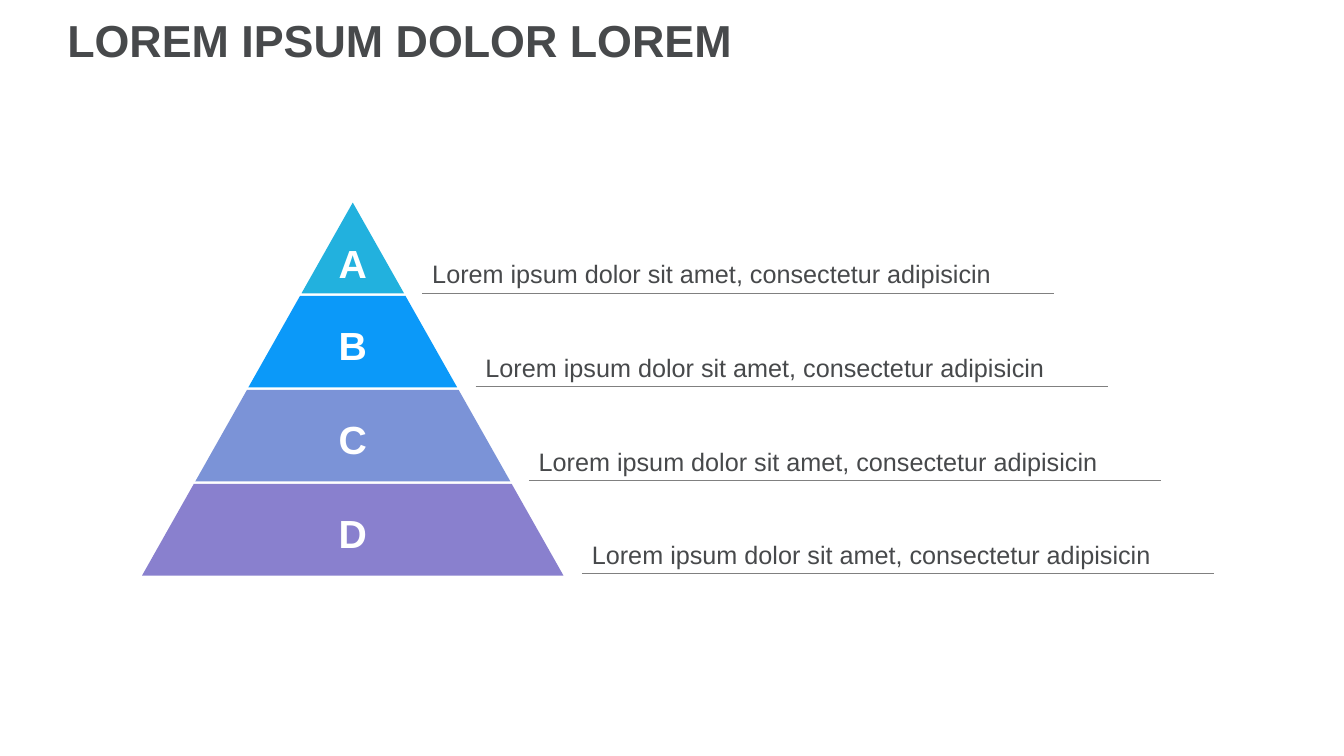
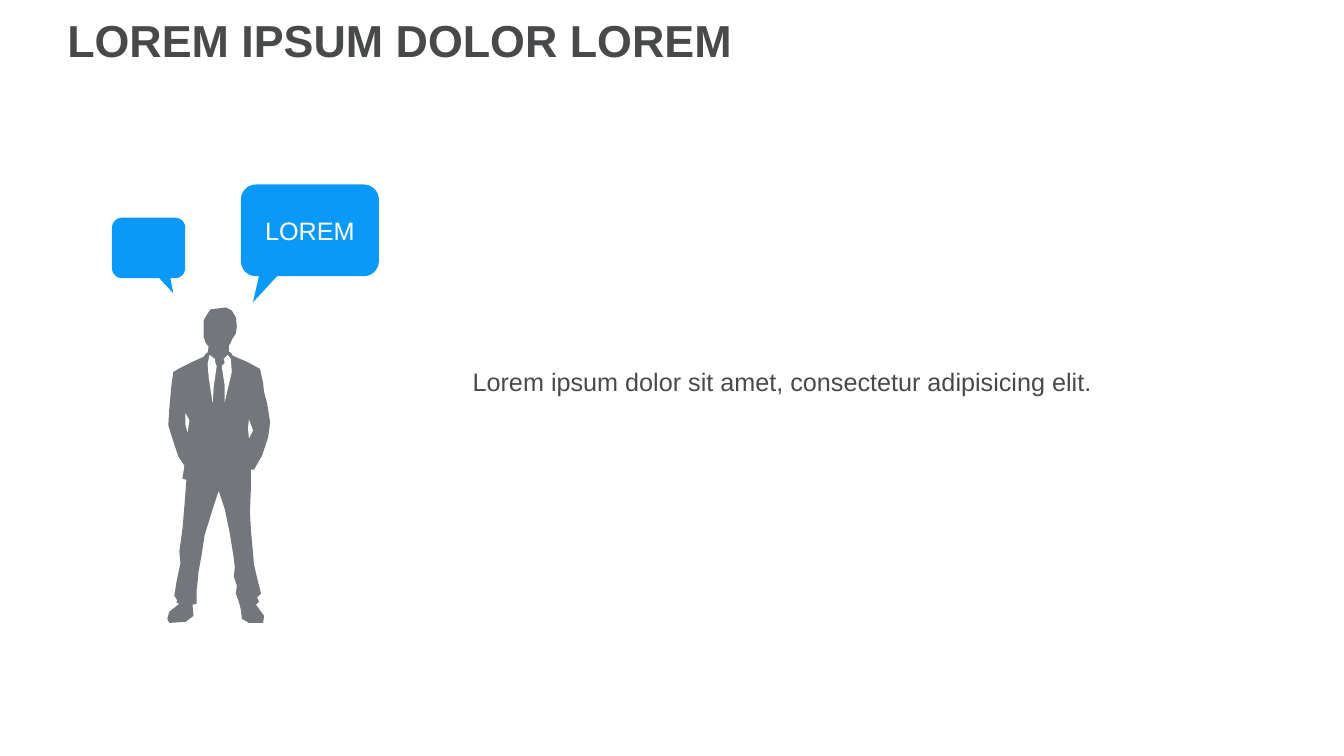
"""Build a two-slide deck: a four-level pyramid and a speaking figure."""
from math import cos, radians, sin

from lxml import etree
from pptx import Presentation
from pptx.dml.color import RGBColor
from pptx.enum import shapes, text
from pptx.oxml.ns import qn
from pptx.util import Pt

FONT = "Arial"
INK, WHITE, BLUE, RULE, GREY = "47494B", "FFFFFF", "0B99F9", "808080", "73767A"
LEFT, CENTER, JUST = text.PP_ALIGN.LEFT, text.PP_ALIGN.CENTER, text.PP_ALIGN.JUSTIFY
MIDDLE, BOTTOM = text.MSO_ANCHOR.MIDDLE, text.MSO_ANCHOR.BOTTOM

TITLE = "LOREM IPSUM DOLOR LOREM"
LINE = "Lorem ipsum dolor sit amet, consectetur adipisicin"
QUOTE = "Lorem ipsum dolor sit amet, consectetur adipisicing elit."
LEVELS = [
    ("A", "22B1DE", LINE, 21),
    ("B", BLUE, LINE, 4),
    ("C", "7B93D7", LINE, 4),
    ("D", "8980CE", LINE, 4),
]
BUBBLES = [
    ("", (80, 155.5, 52.3, 43.2), 7.2, [(121.7, 198.7), (123.8, 209.5), (113.8, 198.7)]),
    ("LOREM", (172.1, 131.8, 98.6, 65.5), 10.8, [(198, 197.3), (180.7, 216), (185, 197.3)]),
]
UNIT = 0.72
BODY = [
    (207, 344), (206, 350), (204, 351), (202, 354), (191, 359), (179, 365),
    (172, 369), (170, 383), (168, 406), (167, 422), (172, 438), (177, 453),
    (183, 462), (181, 475), (185, 476), (183, 502), (181, 525), (178, 547),
    (179, 559), (175, 578), (173, 591), (176, 596), (175, 598), (178, 599),
    (168, 607), (166, 614), (168, 618), (184, 617), (188, 614), (192, 611),
    (191, 600), (195, 599), (195, 591), (195, 586), (196, 578), (197, 567),
    (200, 551), (203, 531), (212, 502), (217, 487), (223, 505), (228, 529),
    (232, 554), (233, 563), (232, 572), (235, 581), (234, 589), (237, 597),
    (239, 605), (240, 614), (247, 618), (261, 618), (262, 611), (254, 600),
    (257, 597), (255, 593), (259, 589), (255, 573), (252, 560), (249, 526),
    (248, 508), (249, 483), (249, 466), (252, 466), (260, 452), (266, 434),
    (268, 419), (265, 400), (262, 389), (261, 380), (258, 366), (245, 359),
    (231, 353), (229, 350), (227, 349), (227, 343), (229, 340), (230, 337),
    (234, 331), (235, 324), (234, 315), (230, 308), (224, 305), (209, 307),
    (206, 311), (202, 318), (202, 327), (202, 334), (204, 340),
]
GAPS = [
    [(208, 352), (213, 356), (214, 361), (215, 363), (212, 384), (211, 400),
     (207, 374), (206, 361)],
    [(226, 352), (222, 356), (223, 360), (220, 363), (223, 383), (223, 399),
     (230, 369), (229, 356)],
    [(184, 410), (184, 421), (186, 429), (188, 417)],
    [(247, 416), (246, 425), (247, 435), (251, 427)],
]


def tint(hue):
    """Turn a hex string into a colour."""
    return RGBColor.from_string(hue)


def paint(shape, hue):
    """Give a shape a flat fill with no line or shadow."""
    shape.shadow.inherit = False
    shape.fill.solid()
    shape.fill.fore_color.rgb = tint(hue)
    shape.line.fill.background()


def write(shape, words, size, hue=INK, bold=False, align=LEFT, anchor=MIDDLE, lead=1.0):
    """Put one styled paragraph in a shape and return its frame."""
    frame = shape.text_frame
    frame.word_wrap = True
    frame.vertical_anchor = anchor
    frame.text = words
    para = frame.paragraphs[0]
    para.alignment, para.line_spacing = align, lead
    for run in para.runs:
        run.font.name, run.font.size, run.font.bold = FONT, Pt(size), bold
        run.font.color.rgb = tint(hue)
    return frame


def label(page, box, words, size, **style):
    """Add a text box."""
    write(page.shapes.add_textbox(*map(Pt, box)), words, size, **style)


def outline(tree, dots, hue):
    """Draw a closed, filled outline through points."""
    (x, y), *rest = [(a * 100, b * 100) for a, b in dots]
    pen = tree.build_freeform(x, y, scale=Pt(0.01))
    pen.add_line_segments(rest, close=True)
    shape = pen.convert_to_shape()
    paint(shape, hue)
    return shape


def rule(page, x, y, width):
    """Draw a thin horizontal line."""
    line = page.shapes.add_connector(
        shapes.MSO_CONNECTOR.STRAIGHT, Pt(x), Pt(y), Pt(x + width), Pt(y))
    line.line.color.rgb = tint(RULE)
    line.line.width = Pt(0.5)
    etree.SubElement(line._element.spPr, qn("a:effectLst"))


def level(page, row, name, hue, words, drop):
    """Draw one pyramid level with its letter, caption and rule."""
    apex, mid, slope, pitch, gap = 144.7, 252, 0.565, 67.2, 1.8
    base = 209.5 + row * pitch
    top = base - pitch + gap if row else apex
    half, inset = slope * (base - apex), slope * (base - top)
    tall = base - top
    slab = page.shapes.add_shape(
        shapes.MSO_SHAPE.TRAPEZOID, Pt(mid - half), Pt(top), Pt(2 * half), Pt(tall))
    slab.adjustments[0] = inset / min(2 * half, tall)
    paint(slab, hue)
    frame = write(slab, name, 28, WHITE, True, CENTER)
    frame.margin_left = frame.margin_right = frame.margin_top = 0
    frame.margin_bottom = Pt(max(0, tall / 3 * inset / half - drop))
    x, y, width, high = 301.7 + 38 * row, 209.5 + 66.8 * row, 451.4, 53
    rule(page, x, y, width)
    label(page, (x, y + 0.5 - high, width, high), words, 18, anchor=BOTTOM, lead=1.2)


def bubble(page, words, box, bend, tail):
    """Draw a rounded speech bubble with a tail on its lower edge."""
    x, y, w, h = box
    hubs = [(x + bend, y + bend, 180), (x + w - bend, y + bend, 270),
            (x + w - bend, y + h - bend, 0), (x + bend, y + h - bend, 90)]
    arcs = [[(a + bend * cos(radians(turn + step)), b + bend * sin(radians(turn + step)))
             for step in range(0, 91, 10)] for a, b, turn in hubs]
    shape = outline(page.shapes, arcs[0] + arcs[1] + arcs[2] + tail + arcs[3], BLUE)
    if words:
        write(shape, words, 18, WHITE, align=CENTER).margin_bottom = Pt(22.3)


def figure(page):
    """Draw the standing figure as one group."""
    group = page.shapes.add_group_shape()
    for dots, hue in [(BODY, GREY)] + [(gap, WHITE) for gap in GAPS]:
        outline(group.shapes, [(x * UNIT, y * UNIT) for x, y in dots], hue)


def start(deck):
    """Add a blank slide with the shared title."""
    page = deck.slides.add_slide(deck.slide_layouts[6])
    label(page, (41, 5.8, 869, 50.4), TITLE, 32, bold=True, lead=0.9)
    return page


def main():
    """Build and save the deck."""
    deck = Presentation()
    deck.slide_width, deck.slide_height = Pt(960), Pt(540)
    page = start(deck)
    for row, item in enumerate(LEVELS):
        level(page, row, *item)
    page = start(deck)
    figure(page)
    for item in BUBBLES:
        bubble(page, *item)
    label(page, (330.5, 227.5, 517, 85.7), QUOTE, 18, align=JUST, lead=1.2)
    deck.save("out.pptx")


if __name__ == "__main__":
    main()
